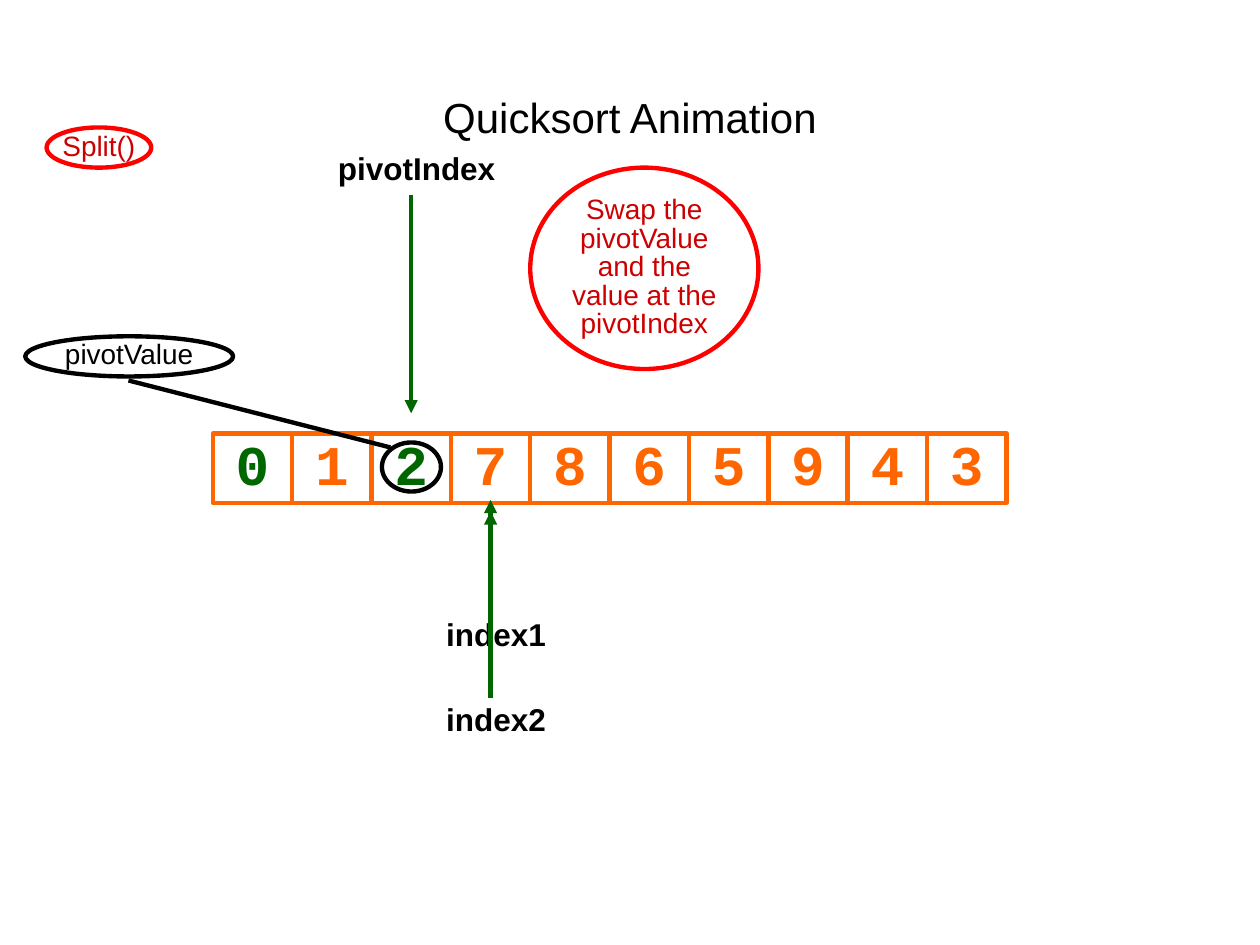
from lxml.etree import SubElement
from pptx import Presentation
from pptx.dml.color import RGBColor
from pptx.enum.shapes import MSO_CONNECTOR, MSO_SHAPE
from pptx.enum.text import MSO_ANCHOR, PP_ALIGN
from pptx.oxml.ns import qn
from pptx.util import Cm, Pt

BLACK = RGBColor(0x00, 0x00, 0x00)
RED = RGBColor(0xFF, 0x00, 0x00)
DARK_RED = RGBColor(0xCC, 0x00, 0x00)
ORANGE = RGBColor(0xFF, 0x66, 0x00)
GREEN = RGBColor(0x00, 0x66, 0x00)

TITLE = "Quicksort Animation"
VALUES = [0, 1, 2, 7, 8, 6, 5, 9, 4, 3]
PLACED = {0, 2}
ARRAY_LEFT, ARRAY_TOP, CELL_W, CELL_H = 4.29, 8.74, 1.6, 1.4
LABEL_W, LABEL_H, LABEL_SHIFT = 3.81, 0.66, 0.11

# text, cell index, label top, arrow start, arrow tip
POINTERS = [
    ("index1", 3, 12.52, 12.52, 10.31),
    ("index2", 3, 14.22, 14.07, 10.08),
    ("pivotIndex", 2, 3.12, 3.94, 8.33),
]
# text, box, outline, text colour, wraps
BUBBLES = [
    ("", (7.7, 8.92, 1.19, 0.99), BLACK, BLACK, True),
    ("pivotValue", (0.51, 6.78, 4.19, 0.81), BLACK, BLACK, True),
    ("Swap the pivotValue and the value at the pivotIndex",
     (10.69, 3.38, 4.6, 4.06), RED, DARK_RED, True),
    ("Split()", (0.94, 2.57, 2.11, 0.81), RED, DARK_RED, False),
]
PIVOT_LINK = (2.59, 7.67, 7.87, 9.02)

FRAME = {"margin_left": 0, "margin_top": 0, "margin_right": 0, "margin_bottom": 0}
TITLE_FONT = {"name": "Arial", "size": Pt(24)}
CELL_FONT = {"name": "Courier New", "size": Pt(32), "bold": True}
LABEL_FONT = {"name": "Arial", "size": Pt(18), "bold": True}
BUBBLE_FONT = {"name": "Arial", "size": Pt(16), "bold": False}


def apply(target, values):
    for key, value in values.items():
        setattr(target, key, value)


def write(sp, text, font, color, spacing=0.85, anchor=MSO_ANCHOR.MIDDLE, wrap=True):
    tf = sp.text_frame
    apply(tf, {**FRAME, "word_wrap": wrap, "vertical_anchor": anchor})
    p = tf.paragraphs[0]
    apply(p, {"alignment": PP_ALIGN.CENTER, "line_spacing": spacing})
    r = p.add_run()
    r.text = text
    apply(r.font, font)
    r.font.color.rgb = color


def add_outline(s, kind, box, color):
    sp = s.shapes.add_shape(kind, *map(Cm, box))
    sp.shadow.inherit = False
    sp.fill.background()
    sp.line.color.rgb = color
    sp.line.width = Pt(2.5)
    return sp


def add_line(s, ends, color, arrow=False):
    line = s.shapes.add_connector(MSO_CONNECTOR.STRAIGHT, *map(Cm, ends))
    line.line.color.rgb = color
    line.line.width = Pt(2.5)
    if arrow:
        SubElement(line.line._get_or_add_ln(), qn("a:tailEnd"), type="triangle")
    SubElement(line._element.spPr, qn("a:effectLst"))


def add_text(s, box, *args, **kwargs):
    write(s.shapes.add_textbox(*map(Cm, box)), *args, **kwargs)


def main():
    prs = Presentation()
    prs.slide_width, prs.slide_height = Cm(25.4), Cm(19.05)
    s = prs.slides.add_slide(prs.slide_layouts[6])
    add_text(s, (1.27, 0.76, 22.86, 3.18), TITLE, TITLE_FONT, BLACK, spacing=1.0)

    for i, value in enumerate(VALUES):
        box = (ARRAY_LEFT + i * CELL_W, ARRAY_TOP, CELL_W, CELL_H)
        sp = add_outline(s, MSO_SHAPE.RECTANGLE, box, ORANGE)
        write(sp, str(value), CELL_FONT, GREEN if i in PLACED else ORANGE)

    for text, cell, top, start, tip in POINTERS:
        x = ARRAY_LEFT + (cell + 0.5) * CELL_W
        add_line(s, (x, start, x, tip), GREEN, arrow=True)
        box = (x + LABEL_SHIFT - LABEL_W / 2, top, LABEL_W, LABEL_H)
        add_text(s, box, text, LABEL_FONT, BLACK, anchor=MSO_ANCHOR.TOP)

    for text, box, outline, color, wrap in BUBBLES:
        sp = add_outline(s, MSO_SHAPE.OVAL, box, outline)
        if text:
            write(sp, text, BUBBLE_FONT, color, wrap=wrap)
    add_line(s, PIVOT_LINK, BLACK)

    prs.save("out.pptx")


if __name__ == "__main__":
    main()
